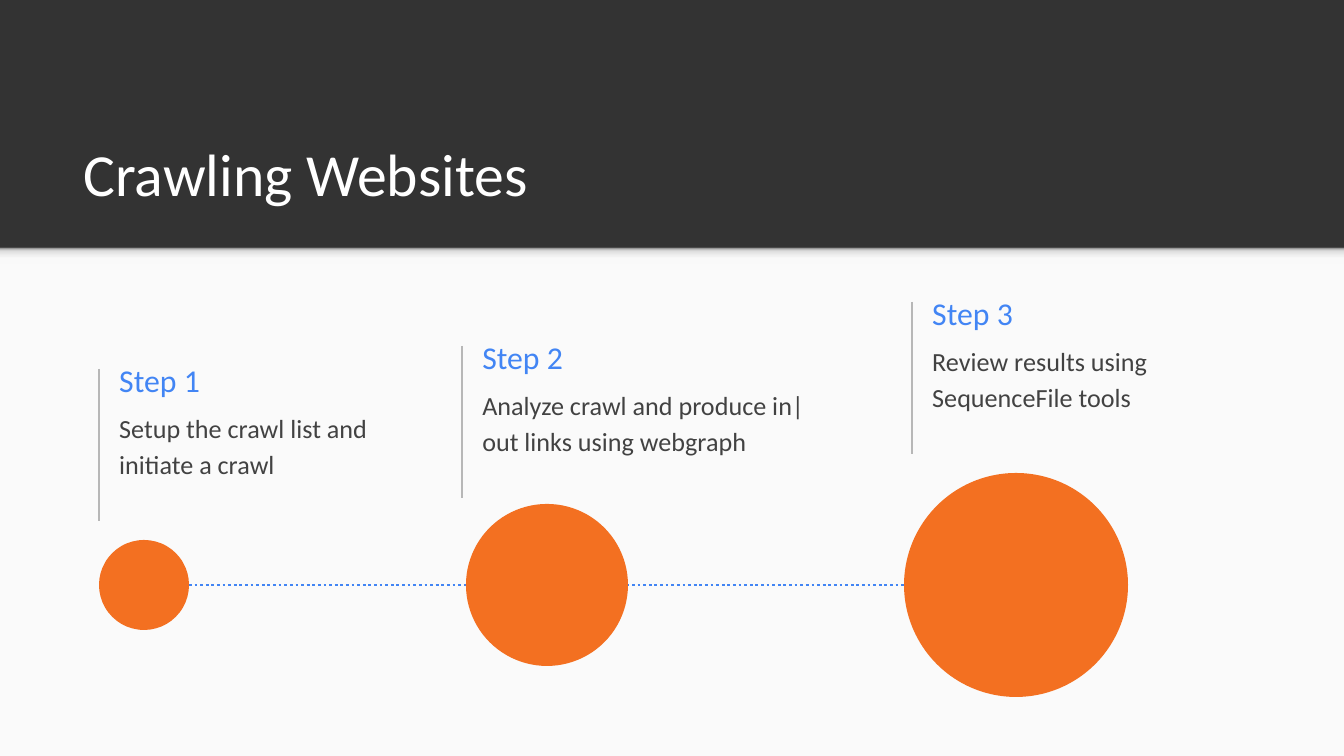
from copy import deepcopy
from dataclasses import dataclass

from lxml.etree import SubElement
from pptx import Presentation
from pptx.dml.color import RGBColor as RGB
from pptx.enum.dml import MSO_LINE as Dash
from pptx.enum.shapes import MSO_CONNECTOR as Conn, MSO_SHAPE as Shape
from pptx.enum.text import MSO_ANCHOR as Anchor, MSO_AUTO_SIZE as Fit, PP_ALIGN as Align
from pptx.oxml.ns import qn
from pptx.util import Inches, Pt

WIDE, HIGH = 1344, 756
SCALE = Inches(10) / WIDE


@dataclass(frozen=True)
class Theme:
    font: str = "Calibri"
    back: str = "333333"
    panel: str = "FAFAFA"
    title: str = "FFFFFF"
    head: str = "4285F4"
    body: str = "424242"
    rule: str = "B7B7B7"
    dot: str = "F37021"
    shade: tuple = ((0, "F9F9F9"), (0.36, "F9F9F9"), (0.8, "DEDEDE"), (1, "999999"))
    title_size: int = 32
    head_size: int = 17
    body_size: int = 14


THEME = Theme()

# left, top, text width, heading, body
STEPS = (
    (99, 369, 308, "Step 1", "Setup the crawl list and initiate a crawl"),
    (462, 346, 359, "Step 2", "Analyze crawl and produce in|out links using webgraph"),
    (912, 302, 359, "Step 3", "Review results using SequenceFile tools"),
)
# left, diameter
DOTS = ((99, 90), (466, 162), (904, 224))
AXIS = 585


def px(*vals):
    return [round(val * SCALE) for val in vals]


def put_text(box, text, *, size, color, anchor=Anchor.TOP, space=None, after=0):
    frame = box.text_frame
    frame.auto_size = Fit.NONE
    frame.word_wrap = True
    frame.vertical_anchor = anchor
    frame.margin_left = frame.margin_right = Inches(0.1)
    frame.margin_top = frame.margin_bottom = Inches(0.1)
    para = frame.paragraphs[0]
    para.alignment = Align.LEFT
    para.line_spacing = space
    para.space_after = Pt(after)
    run = para.add_run()
    run.text = text
    font = run.font
    font.name, font.size = THEME.font, Pt(size)
    font.color.rgb = RGB.from_string(color)


def add_form(slide, kind, area, color=None):
    form = slide.shapes.add_shape(kind, *px(*area))
    form.shadow.inherit = False
    form.line.fill.background()
    if color:
        form.fill.solid()
        form.fill.fore_color.rgb = RGB.from_string(color)
    return form


def add_line(slide, ends, color, width, dash=None):
    line = slide.shapes.add_connector(Conn.STRAIGHT, *px(*ends))
    line.line.color.rgb = RGB.from_string(color)
    line.line.width = Pt(width)
    if dash:
        line.line.dash_style = dash
    SubElement(line._element.spPr, qn("a:effectLst"))


def add_shade(slide, area):
    """Add the soft shadow below the dark band, fading downward."""
    fill = add_form(slide, Shape.RECTANGLE, area).fill
    fill.gradient()
    fill.gradient_angle = 90
    stop = fill.gradient_stops[0]._gs
    group = stop.getparent()
    for _ in range(len(THEME.shade) - len(group)):
        group.append(deepcopy(stop))
    for stop, (place, color) in zip(fill.gradient_stops, THEME.shade):
        stop.position = place
        stop.color.rgb = RGB.from_string(color)


def add_title(slide, text):
    title = slide.shapes.title
    title.left, title.top, title.width, title.height = px(70, 109, 1208, 113)
    put_text(title, text, size=THEME.title_size, color=THEME.title, anchor=Anchor.BOTTOM)


def add_step(slide, left, top, width, head, body):
    add_line(slide, (left, top, left, top + 152), THEME.rule, 0.75)
    box = slide.shapes.add_textbox(*px(left + 7, top - 18, 266, 58))
    put_text(box, head, size=THEME.head_size, color=THEME.head, anchor=Anchor.MIDDLE)
    box = slide.shapes.add_textbox(*px(left + 7, top + 25, width, 85))
    put_text(box, body, size=THEME.body_size, color=THEME.body, space=1.15, after=16)


def add_track(slide):
    """Add the dotted line and the growing circles on it."""
    first, last = DOTS[0], DOTS[-1]
    add_line(slide, (sum(first), AXIS, last[0], AXIS), THEME.head, 1.5, Dash.ROUND_DOT)
    for left, size in DOTS:
        add_form(slide, Shape.OVAL, (left, AXIS - size / 2, size, size), THEME.dot)


def main():
    deck = Presentation()
    deck.slide_width, deck.slide_height = px(WIDE, HIGH)
    slide = deck.slides.add_slide(deck.slide_layouts[5])
    back = slide.background.fill
    back.solid()
    back.fore_color.rgb = RGB.from_string(THEME.back)
    add_form(slide, Shape.RECTANGLE, (0, 248, WIDE, HIGH - 248), THEME.panel)
    add_shade(slide, (0, 248, WIDE, 16))
    add_title(slide, "Crawling Websites")
    for step in STEPS:
        add_step(slide, *step)
    add_track(slide)
    deck.save("out.pptx")


if __name__ == "__main__":
    main()
